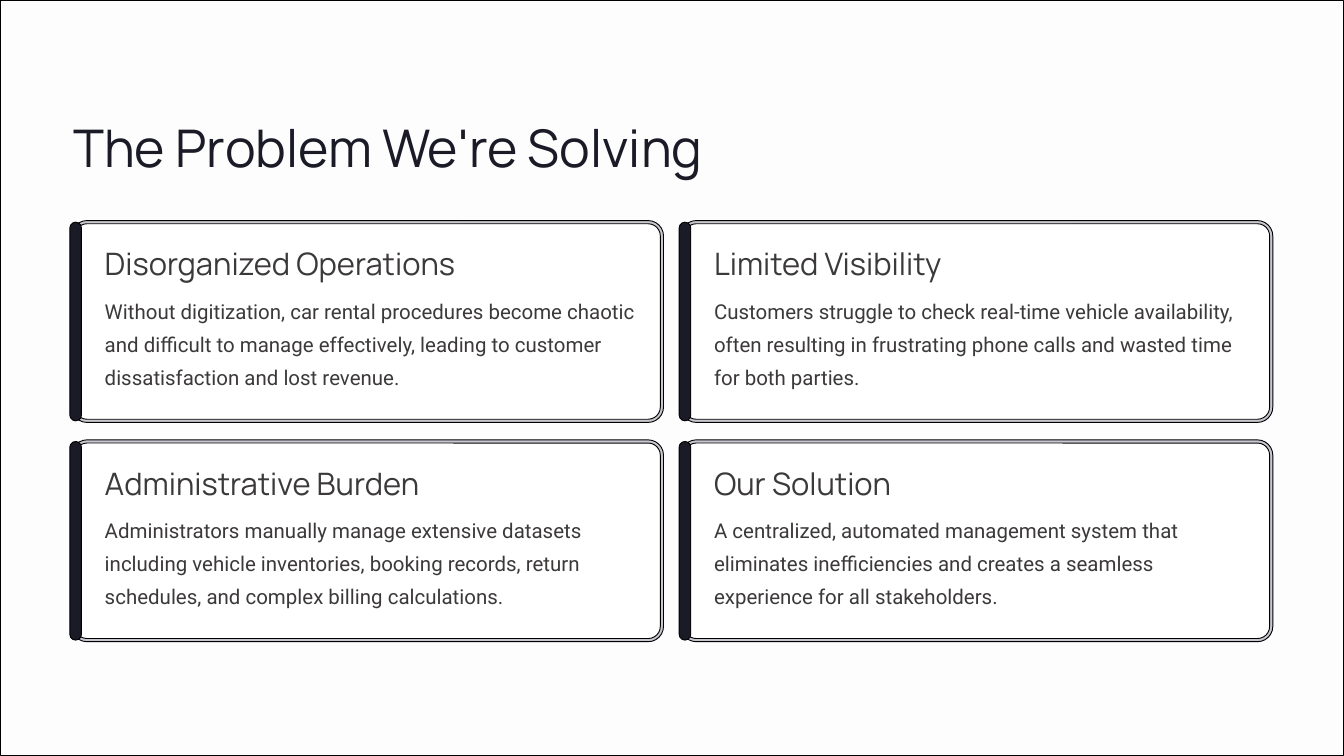
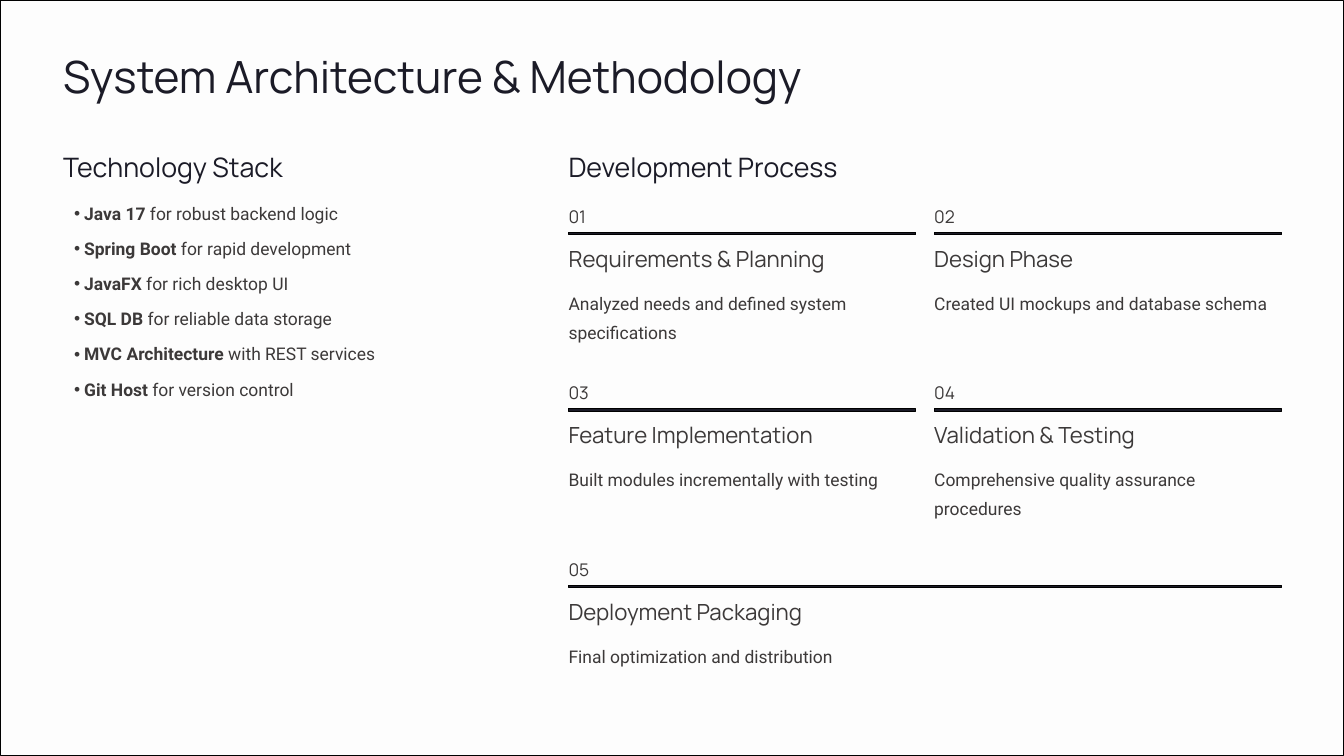
from dataclasses import dataclass

from lxml import etree
from pptx import Presentation
from pptx.dml.color import RGBColor
from pptx.enum.shapes import MSO_SHAPE
from pptx.enum.text import MSO_ANCHOR, MSO_AUTO_SIZE, PP_ALIGN
from pptx.oxml.ns import qn
from pptx.util import Cm, Pt

RECTANGLE = MSO_SHAPE.RECTANGLE
ROUNDED = MSO_SHAPE.ROUNDED_RECTANGLE
TOP = MSO_ANCHOR.TOP
LEFT = PP_ALIGN.LEFT
NO_AUTOSIZE = MSO_AUTO_SIZE.NONE
TITLE_AND_CONTENT, TITLE_ONLY = 1, 5


@dataclass(frozen=True)
class TextStyle:
    font: str
    size: float
    leading: float
    color: str


@dataclass(frozen=True)
class Theme:
    dark: str = "1B1B27"
    outline: str = "000000"
    frame: str = "C7C7D0"
    paper: str = "FFFFFF"
    backdrop: str = "FDFDFD"
    large_title: TextStyle = TextStyle("Manrope", 55.6, 69.4, "1B1B27")
    title: TextStyle = TextStyle("Manrope", 47.5, 60, "1B1B27")
    section: TextStyle = TextStyle("Manrope", 28.7, 35.6, "1B1B27")
    card_heading: TextStyle = TextStyle("Manrope", 33.1, 41.2, "3C3939")
    card_body: TextStyle = TextStyle("Roboto", 21.9, 35.6, "3C3939")
    step_number: TextStyle = TextStyle("Manrope", 18.7, 30.6, "3C3939")
    step_heading: TextStyle = TextStyle("Manrope", 23.8, 30, "3C3939")
    body: TextStyle = TextStyle("Roboto", 18.7, 30.6, "3C3939")


THEME = Theme()
SLIDE_WIDTH, SLIDE_HEIGHT = 50.8, 28.58

PROBLEMS = [
    ("Disorganized Operations",
     "Without digitization, car rental procedures become chaotic and difficult to manage "
     "effectively, leading to customer dissatisfaction and lost revenue."),
    ("Limited Visibility",
     "Customers struggle to check real-time vehicle availability, often resulting in "
     "frustrating phone calls and wasted time for both parties."),
    ("Administrative Burden",
     "Administrators manually manage extensive datasets including vehicle inventories, "
     "booking records, return schedules, and complex billing calculations."),
    ("Our Solution",
     "A centralized, automated management system that eliminates inefficiencies and "
     "creates a seamless experience for all stakeholders."),
]
TECHNOLOGIES = [
    ("Java 17", " for robust backend logic"),
    ("Spring Boot", " for rapid development"),
    ("JavaFX", " for rich desktop UI"),
    ("SQL DB", " for reliable data storage"),
    ("MVC Architecture", " with REST services"),
    ("Git Host", " for version control"),
]
STEPS = [
    ("Requirements & Planning", "Analyzed needs and defined system specifications"),
    ("Design Phase", "Created UI mockups and database schema"),
    ("Feature Implementation", "Built modules incrementally with testing"),
    ("Validation & Testing", "Comprehensive quality assurance procedures"),
    ("Deployment Packaging", "Final optimization and distribution"),
]


def place(shape, left, top, width, height):
    shape.left, shape.top = Cm(left), Cm(top)
    shape.width, shape.height = Cm(width), Cm(height)


def prepare_frame(text_frame):
    text_frame.word_wrap = True
    text_frame.auto_size = NO_AUTOSIZE
    text_frame.vertical_anchor = TOP
    text_frame.margin_left = text_frame.margin_right = 0
    text_frame.margin_top = text_frame.margin_bottom = 0


def format_paragraph(paragraph, style):
    paragraph.alignment = LEFT
    paragraph.line_spacing = Pt(style.leading)
    paragraph.space_before = Pt(0)
    for run in paragraph.runs:
        run.font.name = style.font
        run.font.size = Pt(style.size)
        run.font.color.rgb = RGBColor.from_string(style.color)


def fill_text(shape, text, style):
    prepare_frame(shape.text_frame)
    shape.text_frame.text = text
    format_paragraph(shape.text_frame.paragraphs[0], style)


def add_text(slide, text, style, left, top, width, height):
    box = slide.shapes.add_textbox(Cm(left), Cm(top), Cm(width), Cm(height))
    fill_text(box, text, style)


def add_block(slide, kind, fill, left, top, width, height, radius=0):
    block = slide.shapes.add_shape(kind, Cm(left), Cm(top), Cm(width), Cm(height))
    block.shadow.inherit = False
    block.fill.solid()
    block.fill.fore_color.rgb = RGBColor.from_string(fill)
    block.line.color.rgb = RGBColor.from_string(THEME.outline)
    block.line.width = Pt(1)
    if radius:
        block.adjustments[0] = radius / min(width, height)
    return block


def add_slide(presentation, layout, title, style, left, top, width, height):
    slide = presentation.slides.add_slide(presentation.slide_layouts[layout])
    backdrop = add_block(slide, RECTANGLE, THEME.backdrop, 0, 0, SLIDE_WIDTH, SLIDE_HEIGHT)
    slide.shapes.title.element.addprevious(backdrop.element)
    place(slide.shapes.title, left, top, width, height)
    fill_text(slide.shapes.title, title, style)
    return slide


def add_card(slide, heading, body, left, top):
    width, height, radius, edge = 22.25, 7.51, 0.52, 0.06
    for fill, grow in ((THEME.frame, edge), (THEME.paper, -edge)):
        add_block(slide, ROUNDED, fill, left - grow, top - grow,
                  width + 2 * grow, height + 2 * grow, radius + grow)
    add_block(slide, ROUNDED, THEME.dark, left - 0.13, top, 0.44, height, 0.22)
    add_text(slide, heading, THEME.card_heading, left + 1.19, top + 0.81, 13.4, 1.55)
    add_text(slide, body, THEME.card_body, left + 1.19, top + 2.56, 20.14, 4.04)


def add_bullet(paragraph):
    properties = paragraph._p.get_or_add_pPr()
    properties.set("marL", str(Cm(0.79)))
    properties.set("indent", str(Cm(-0.38)))
    etree.SubElement(properties, qn("a:buChar")).set("char", "•")


def fill_technology_list(placeholder):
    text_frame = placeholder.text_frame
    prepare_frame(text_frame)
    for index, (name, purpose) in enumerate(TECHNOLOGIES):
        paragraph = text_frame.add_paragraph() if index else text_frame.paragraphs[0]
        for text, bold in ((name, True), (purpose, False)):
            run = paragraph.add_run()
            run.text = text
            run.font.bold = bold
        format_paragraph(paragraph, THEME.body)
        paragraph.space_after = Pt(7)
        add_bullet(paragraph)


def add_step(slide, number, heading, body, left, top, width):
    add_text(slide, f"{number:02}", THEME.step_number, left, top, 1.1, 1)
    add_block(slide, RECTANGLE, THEME.dark, left, top + 1.3, width, 0.08)
    add_text(slide, heading, THEME.step_heading, left, top + 1.73, 10, 1.14)
    add_text(slide, body, THEME.body, left, top + 3.3, width, 2.4)


def build_problem_slide(presentation):
    slide = add_slide(presentation, TITLE_ONLY, "The Problem We're Solving",
                      THEME.large_title, 2.77, 4.29, 25.4, 2.31)
    for index, (heading, body) in enumerate(PROBLEMS):
        row, column = divmod(index, 2)
        add_card(slide, heading, body, 2.77 + column * 23.03, 8.4 + row * 8.29)


def build_architecture_slide(presentation):
    slide = add_slide(presentation, TITLE_AND_CONTENT, "System Architecture & Methodology",
                      THEME.title, 2.39, 1.75, 28.37, 2.24)
    stack_left, process_left = 2.39, 21.49
    step_width, column_pitch, row_pitch = 13.13, 13.82, 6.67
    for text, left in (("Technology Stack", stack_left), ("Development Process", process_left)):
        add_text(slide, text, THEME.section, left, 5.64, 11.53, 1.27)
    technology_list = slide.placeholders[1]
    place(technology_list, stack_left, 7.39, 17.42, 7.96)
    fill_technology_list(technology_list)
    for index, (heading, body) in enumerate(STEPS):
        row, column = divmod(index, 2)
        is_last = index == len(STEPS) - 1
        width = column_pitch + step_width if is_last else step_width
        add_step(slide, index + 1, heading, body, process_left + column * column_pitch,
                 7.49 + row * row_pitch, width)


def main():
    presentation = Presentation()
    presentation.slide_width = Cm(SLIDE_WIDTH)
    presentation.slide_height = Cm(SLIDE_HEIGHT)
    build_problem_slide(presentation)
    build_architecture_slide(presentation)
    presentation.save("out.pptx")


if __name__ == "__main__":
    main()
